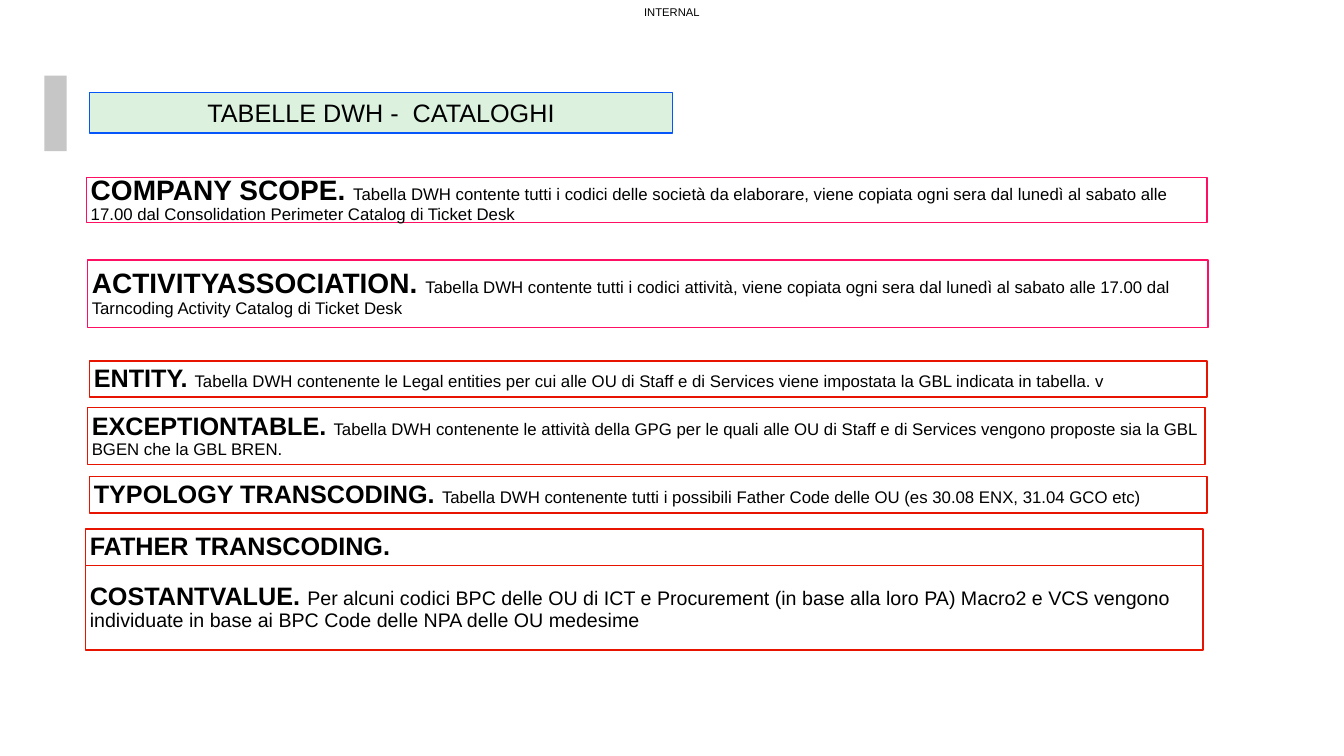
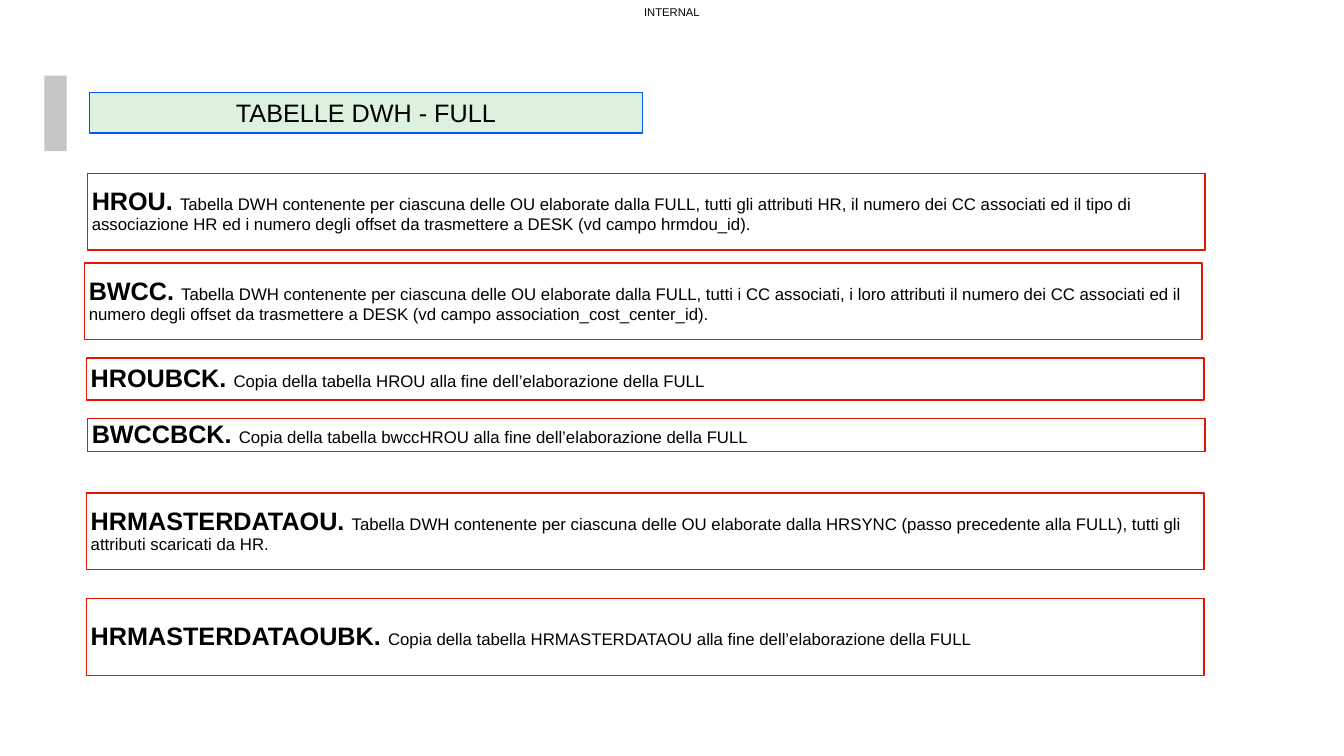
from pptx import Presentation
from pptx.dml.color import RGBColor
from pptx.enum.shapes import MSO_SHAPE
from pptx.enum.text import MSO_ANCHOR, MSO_AUTO_SIZE, PP_ALIGN
from pptx.util import Inches, Pt

RECTANGLE = MSO_SHAPE.RECTANGLE
PROCESS = MSO_SHAPE.FLOWCHART_PROCESS
MIDDLE = MSO_ANCHOR.MIDDLE
TOP = MSO_ANCHOR.TOP
LEFT = PP_ALIGN.LEFT
CENTER = PP_ALIGN.CENTER
NO_AUTOFIT = MSO_AUTO_SIZE.NONE

BLACK = RGBColor(0x00, 0x00, 0x00)
WHITE = RGBColor(0xFF, 0xFF, 0xFF)
GRAY = RGBColor(0xC6, 0xC6, 0xC6)
MINT = RGBColor(0xDD, 0xF2, 0xDE)
BLUE = RGBColor(0x06, 0x55, 0xFA)
PINK = RGBColor(0xFE, 0x0F, 0x64)
RED = RGBColor(0xE7, 0x14, 0x01)

FONT = "Arial"
TITLE_ONLY = 5
PINK_STYLE = (11.11, PINK, 20, 12)
RED_STYLE = (11.08, RED, 18, 12)
LARGE_STYLE = (11.08, RED, 18, 14)

CATALOGS = [
    (0.86, 1.76, 0.45, PINK_STYLE, "COMPANY SCOPE. ",
     "Tabella DWH contente tutti i codici delle società da elaborare, viene copiata ogni sera "
     "dal lunedì al sabato alle 17.00 dal Consolidation Perimeter Catalog di Ticket Desk"),
    (0.87, 2.58, 0.67, PINK_STYLE, "ACTIVITYASSOCIATION. ",
     "Tabella DWH contente tutti i codici attività, viene copiata ogni sera dal lunedì al "
     "sabato alle 17.00 dal Tarncoding Activity Catalog di Ticket Desk"),
    (0.89, 3.58, 0.36, RED_STYLE, "ENTITY. ",
     "Tabella DWH contenente le Legal entities per cui alle OU di Staff e di Services viene "
     "impostata la GBL indicata in tabella. v"),
    (0.87, 4.04, 0.57, RED_STYLE, "EXCEPTIONTABLE. ",
     "Tabella DWH contenente le attività della GPG per le quali alle OU di Staff e di Services "
     "vengono proposte sia la GBL BGEN che la GBL BREN."),
    (0.89, 4.73, 0.36, RED_STYLE, "TYPOLOGY TRANSCODING. ",
     "Tabella DWH contenente tutti i possibili Father Code delle OU "
     "(es 30.08 ENX, 31.04 GCO etc)"),
    (0.85, 5.25, 0.36, RED_STYLE, "FATHER TRANSCODING.", ""),
    (0.85, 5.61, 0.84, LARGE_STYLE, "COSTANTVALUE. ",
     "Per alcuni codici BPC delle OU di ICT e Procurement (in base alla loro PA) Macro2 e VCS "
     "vengono individuate in base ai BPC Code delle NPA delle OU medesime"),
]

FULL_TABLES = [
    (0.87, 1.72, 0.76, RED_STYLE, "HROU. ",
     "Tabella DWH contenente per ciascuna delle OU elaborate dalla FULL, tutti gli attributi "
     "HR, il numero dei CC associati ed il tipo di associazione HR ed i numero degli offset da "
     "trasmettere a DESK (vd campo hrmdou_id)."),
    (0.84, 2.61, 0.76, RED_STYLE, "BWCC. ",
     "Tabella DWH contenente per ciascuna delle OU elaborate dalla FULL, tutti i CC associati, "
     "i loro attributi il numero dei CC associati ed il numero degli offset da trasmettere a "
     "DESK (vd campo association_cost_center_id)."),
    (0.86, 3.55, 0.42, RED_STYLE, "HROUBCK. ",
     "Copia della tabella HROU alla fine dell’elaborazione della FULL"),
    (0.87, 4.15, 0.33, RED_STYLE, "BWCCBCK. ",
     "Copia della tabella bwccHROU alla fine dell’elaborazione della FULL"),
    (0.86, 4.89, 0.76, RED_STYLE, "HRMASTERDATAOU. ",
     "Tabella DWH contenente per ciascuna delle OU elaborate dalla HRSYNC (passo precedente "
     "alla FULL), tutti gli attributi scaricati da HR."),
    (0.86, 5.94, 0.76, RED_STYLE, "HRMASTERDATAOUBK. ",
     "Copia della tabella HRMASTERDATAOU alla fine dell’elaborazione della FULL"),
]


def format_span(span, size, bold=False):
    span.font.name = FONT
    span.font.size = Pt(size)
    span.font.bold = bold
    span.font.color.rgb = BLACK


def paint(shape, fill, line):
    shape.fill.solid()
    shape.fill.fore_color.rgb = fill
    shape.line.color.rgb = line
    shape.line.width = Pt(1)


def set_frame(frame, anchor, margin):
    frame.word_wrap = True
    frame.auto_size = NO_AUTOFIT
    frame.vertical_anchor = anchor
    frame.margin_left = frame.margin_right = Inches(margin)
    frame.margin_top = frame.margin_bottom = Inches(margin)


def move_to_layout(shape, layout):
    layout.shapes.element.append(shape.element)


def add_shared_parts(page):
    layout = page.slide_layout
    bar = page.shapes.add_shape(
        RECTANGLE, Inches(0.44), Inches(0.75), Inches(0.22), Inches(0.75))
    bar.shadow.inherit = False
    bar.fill.solid()
    bar.fill.fore_color.rgb = GRAY
    bar.line.fill.background()
    move_to_layout(bar, layout)

    label = page.shapes.add_textbox(Inches(6.26), 0, Inches(0.81), Inches(0.24))
    set_frame(label.text_frame, MIDDLE, 0)
    label.text_frame.text = "INTERNAL"
    para = label.text_frame.paragraphs[0]
    para.alignment = CENTER
    format_span(para.runs[0], 8)
    move_to_layout(label, layout)


def place_title(page, text, width):
    title = page.shapes.title
    title.left, title.top = Inches(0.89), Inches(0.92)
    title.width, title.height = Inches(width), Inches(0.4)
    paint(title, MINT, BLUE)
    frame = title.text_frame
    set_frame(frame, TOP, 0.05)
    frame.text = text
    para = frame.paragraphs[0]
    para.alignment = CENTER
    format_span(para.runs[0], 18)


def add_description(page, left, top, height, style, name, detail):
    width, color, name_size, detail_size = style
    box = page.shapes.add_shape(
        PROCESS, Inches(left), Inches(top), Inches(width), Inches(height))
    box.shadow.inherit = False
    paint(box, WHITE, color)
    set_frame(box.text_frame, MIDDLE, 0.04)
    para = box.text_frame.paragraphs[0]
    para.alignment = LEFT
    para.line_spacing = 0.9
    para.text = name
    format_span(para.runs[0], name_size, True)
    if detail:
        span = para.add_run()
        span.text = detail
        format_span(span, detail_size)


def add_table_page(deck, title, title_width, descriptions):
    page = deck.slides.add_slide(deck.slide_layouts[TITLE_ONLY])
    place_title(page, title, title_width)
    for description in descriptions:
        add_description(page, *description)
    return page


def main():
    deck = Presentation()
    deck.slide_width = Inches(13.33)
    deck.slide_height = Inches(7.5)
    first_page = add_table_page(deck, "TABELLE DWH -  CATALOGHI", 5.78, CATALOGS)
    add_shared_parts(first_page)
    add_table_page(deck, "TABELLE DWH - FULL", 5.48, FULL_TABLES)
    deck.save("out.pptx")


if __name__ == "__main__":
    main()
